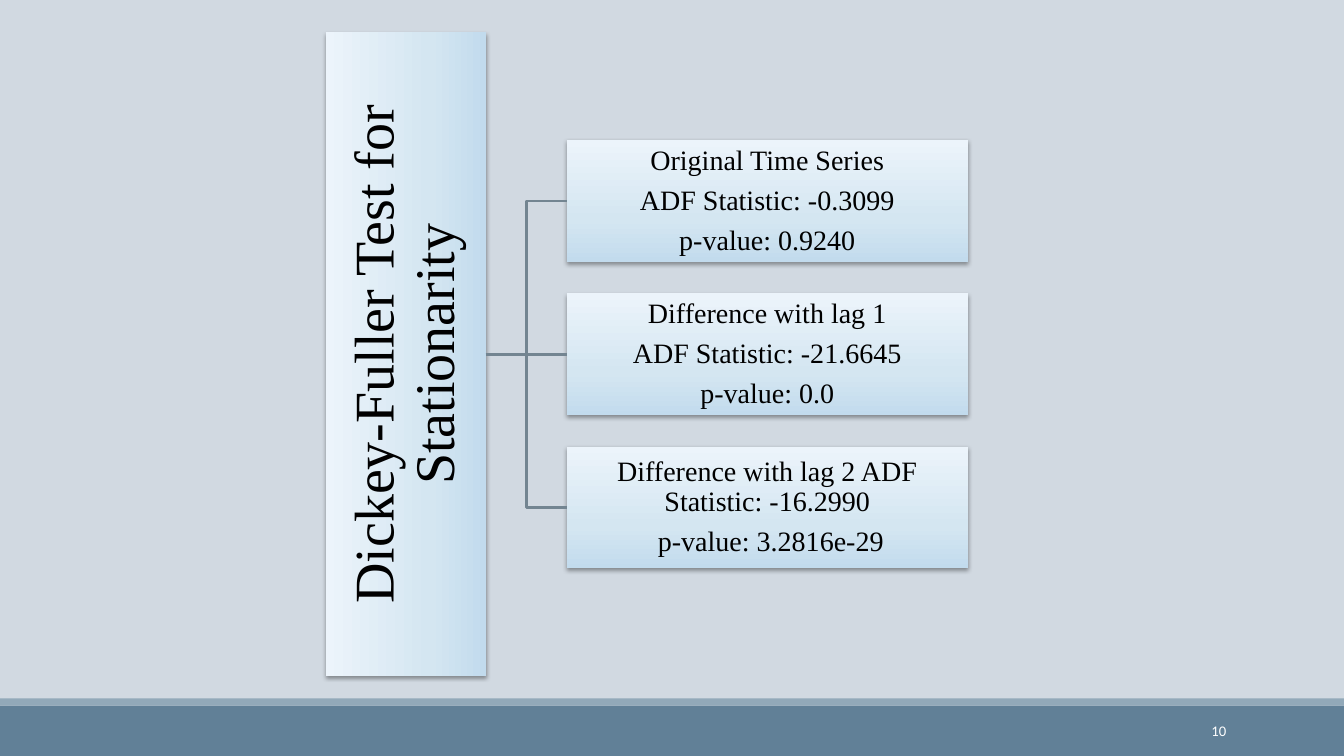
from lxml import etree
from pptx import Presentation
from pptx.dml.color import RGBColor
from pptx.enum.shapes import MSO_CONNECTOR as Link, MSO_SHAPE as Shape
from pptx.enum.text import MSO_ANCHOR as Anchor, PP_ALIGN as Align
from pptx.oxml import parse_xml
from pptx.oxml.ns import qn
from pptx.util import Inches, Pt

NS = 'xmlns:a="http://schemas.openxmlformats.org/drawingml/2006/main"'
STOPS = [(0, "C2DBED"), (35, "D4E6F1"), (100, "ECF4FB")]
SERIF = "Times New Roman"

# Lines of each result: text and first-line indent in inches
TESTS = [
    [("Original Time Series", 0), ("ADF Statistic: -0.3099", -0.5),
     ("p-value: 0.9240", 0)],
    [("Difference with lag 1", 0), ("ADF Statistic: -21.6645", -0.07),
     ("p-value: 0.0", 0)],
    [("Difference with lag 2 ADF Statistic: -16.2990", 0),
     ("p-value: 3.2816e-29", 0.07)],
]


def color(code):
    return RGBColor.from_string(code)


def add_rect(slide, box):
    rect = slide.shapes.add_shape(Shape.RECTANGLE, *map(Inches, box))
    rect.shadow.inherit = False
    rect.line.fill.background()
    return rect


def add_bar(slide, box, code):
    bar = add_rect(slide, box)
    bar.fill.solid()
    bar.fill.fore_color.rgb = color(code)


def write(frame, lines, size, font, code, align, inset):
    frame.word_wrap = True
    frame.vertical_anchor = Anchor.MIDDLE
    frame.margin_left = frame.margin_right = Inches(inset)
    frame.margin_top = frame.margin_bottom = Inches(min(inset, 0.05))
    for i, (text, indent) in enumerate(lines):
        para = frame.paragraphs[0] if i == 0 else frame.add_paragraph()
        para.text = text
        para.alignment = align
        para.line_spacing = 0.9
        para.space_before = Pt(7 if i else 0)
        para.font.size = Pt(size)
        para.font.name = font
        para.font.color.rgb = color(code)
        if indent:
            para._p.get_or_add_pPr().set("indent", str(Inches(indent)))


def add_card(slide, box, lines, size, inset, angle):
    card = add_rect(slide, box)
    # Gradient fill
    stops = "".join(
        f'<a:gs pos="{pos * 1000}"><a:srgbClr val="{code}"/></a:gs>'
        for pos, code in STOPS)
    card.fill.background()
    props = card._element.spPr
    props.replace(props.find(qn("a:noFill")), parse_xml(
        f'<a:gradFill {NS} rotWithShape="1"><a:gsLst>{stops}</a:gsLst>'
        f'<a:lin ang="{angle * 60000}" scaled="0"/></a:gradFill>'))
    # Soft shadow below
    props.find(qn("a:effectLst")).append(parse_xml(
        f'<a:outerShdw {NS} blurRad="{Pt(3.1)}" dist="{Pt(1.6)}" '
        'dir="5400000" rotWithShape="0"><a:srgbClr val="000000">'
        '<a:alpha val="37000"/></a:srgbClr></a:outerShdw>'))
    write(card.text_frame, lines, size, SERIF, "000000", Align.CENTER, inset)
    return card


def join(slide, start, end, kind):
    line = slide.shapes.add_connector(kind, 0, 0, 0, 0)
    line.begin_connect(start, 3)
    line.end_connect(end, 1)
    line.line.color.rgb = color("738591")
    line.line.width = Pt(2)
    etree.SubElement(line._element.spPr, qn("a:effectLst"))


def main():
    deck = Presentation()
    deck.slide_width, deck.slide_height = Inches(13.33), Inches(7.5)
    slide = deck.slides.add_slide(deck.slide_layouts[6])
    slide.background.fill.solid()
    slide.background.fill.fore_color.rgb = color("D1D9E1")

    # Footer with page number
    add_bar(slide, (0, 7, 13.33, 0.5), "618097")
    add_bar(slide, (0, 6.93, 13.33, 0.07), "92A9B9")
    page = slide.shapes.add_textbox(*map(Inches, (10.83, 7.06, 1.43, 0.4)))
    write(page.text_frame, [("10", 0)], 10.5, "Calibri", "FFFFFF",
          Align.RIGHT, 0.1)

    # Title, read from bottom to top
    title = add_card(slide, (3.23, 0.32, 1.59, 6.39),
                     [("Dickey-Fuller Test for Stationarity", 0)],
                     40, 0.03, 180)
    title.text_frame._txBody.bodyPr.set("vert", "vert270")

    # Results, each joined to the title
    for i, lines in enumerate(TESTS):
        card = add_card(slide, (5.62, 1.39 + 1.52 * i, 3.98, 1.21),
                        lines, 20, 0.01, 270)
        join(slide, title, card, Link.STRAIGHT if i == 1 else Link.ELBOW)

    deck.save("out.pptx")


if __name__ == "__main__":
    main()
